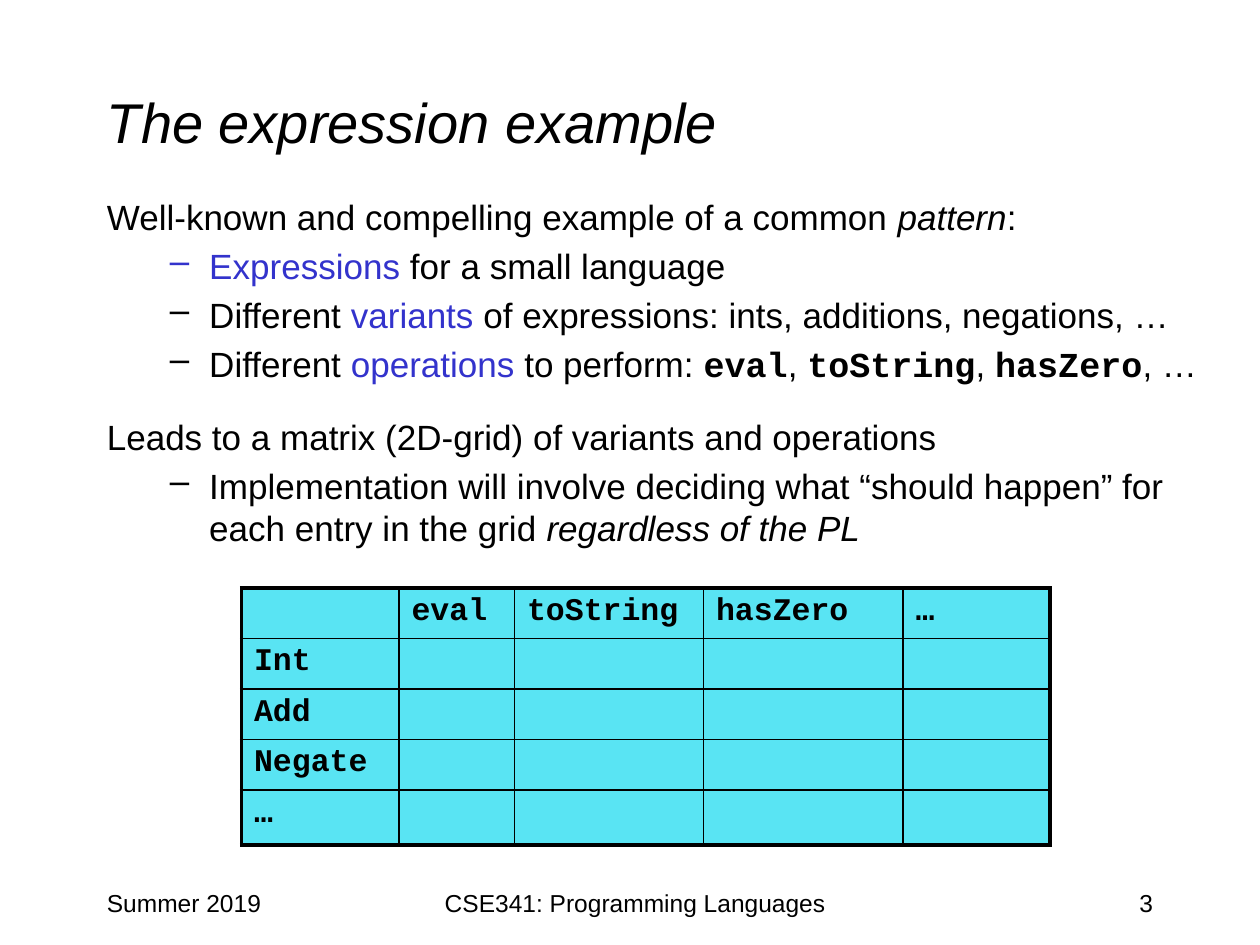
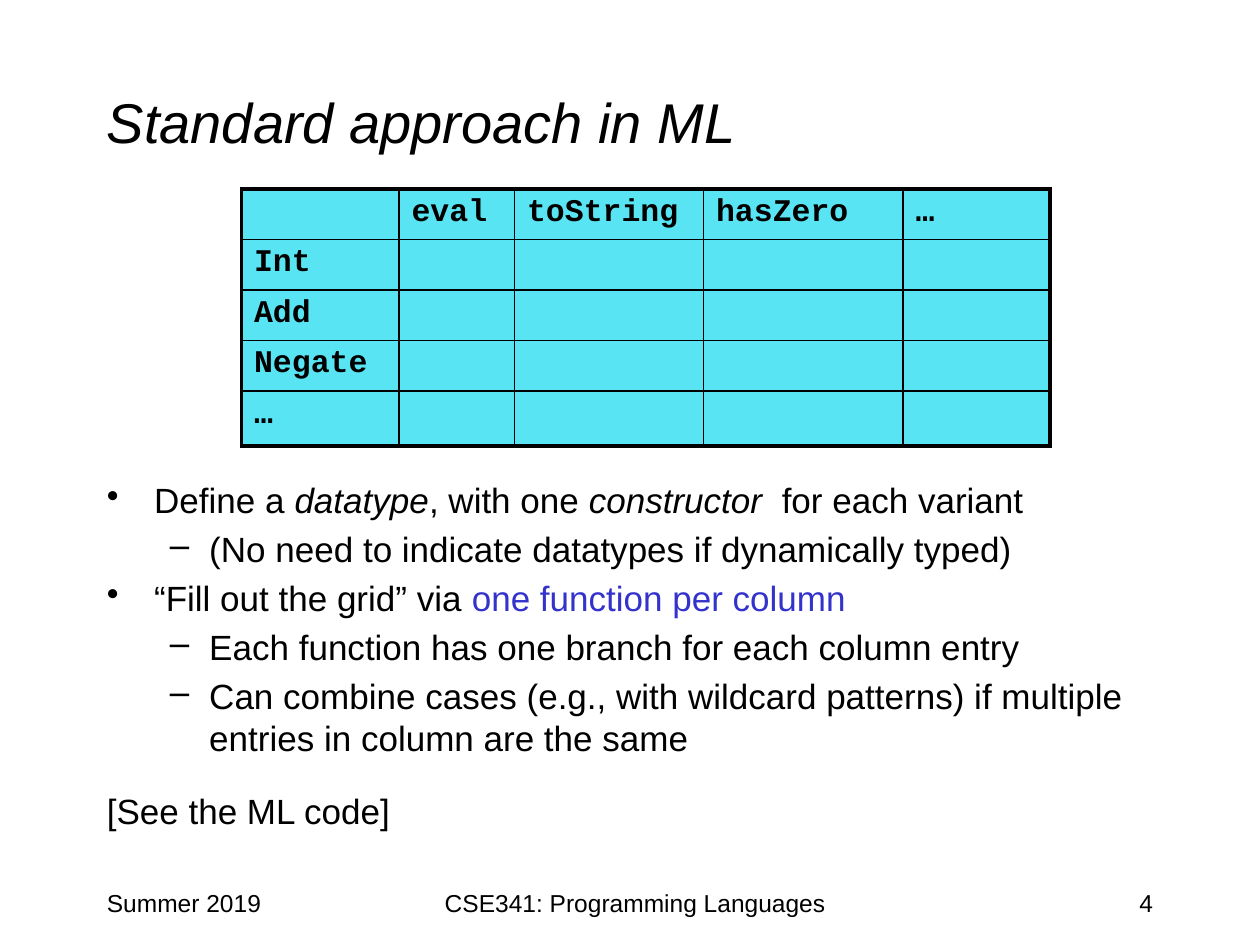
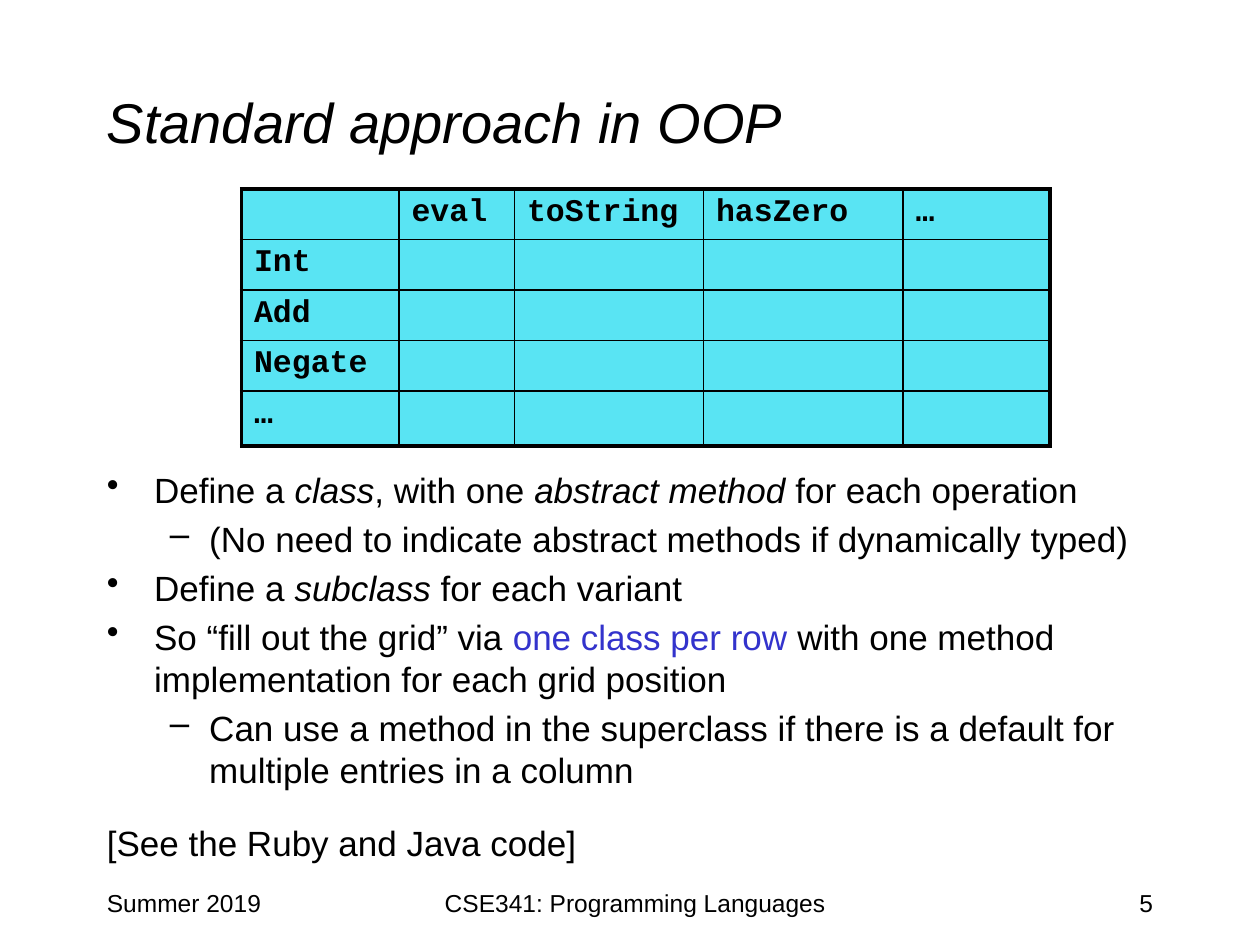
from lxml.etree import SubElement
from pptx import Presentation
from pptx.dml.color import RGBColor
from pptx.enum.text import MSO_ANCHOR, PP_ALIGN
from pptx.oxml.ns import qn
from pptx.util import Pt

BLACK = RGBColor(0x00, 0x00, 0x00)
BLUE = RGBColor(0x33, 0x33, 0xCC)
CYAN = RGBColor(0x59, 0xE4, 0xF3)
SANS = "Arial"
MONO = "Courier New"

PLAIN, ITALIC, ACCENT, CODE = "plain", "italic", "accent", "code"
LEAD, BULLET, DASH = "lead", "bullet", "dash"
LEVELS = {LEAD: (0, 0, None), BULLET: (27, -27, "•"), DASH: (58.5, -22.5, "–")}
LINE_GAP = 4
SECTION_GAP = 17.7

OPERATIONS = ["eval", "toString", "hasZero", "…"]
VARIANTS = ["Int", "Add", "Negate", "…"]
COLUMN_WIDTHS = [90, 66, 108, 114, 84]
ROW_HEIGHTS = [27.6, 27.6, 27.6, 27.6, 31.6]
INNER_BORDER, OUTER_BORDER = 1, 2.25


class LectureDeck:
    def __init__(self):
        self.deck = Presentation()
        self.deck.slide_width = Pt(720)
        self.deck.slide_height = Pt(540)
        self.page = None

    def add_page(self, title, number):
        self.page = self.deck.slides.add_slide(self.deck.slide_layouts[6])
        self.add_label(title, 54, 24, 612, 90, 32, italic=True, anchor=MSO_ANCHOR.MIDDLE)
        self.add_label("Summer 2019", 54, 504, 150, 36)
        self.add_label("CSE341: Programming Languages", 228, 504, 270, 36, align=PP_ALIGN.CENTER)
        self.add_label(str(number), 516, 504, 150, 36, align=PP_ALIGN.RIGHT)

    def add_box(self, left, top, width, height):
        box = self.page.shapes.add_textbox(Pt(left), Pt(top), Pt(width), Pt(height))
        box.text_frame.word_wrap = True
        return box.text_frame

    def style_font(self, font, size, name=SANS, color=BLACK, bold=False, italic=False):
        font.size = Pt(size)
        font.name = name
        font.color.rgb = color
        font.bold = bold
        font.italic = italic

    def add_label(self, text, left, top, width, height, size=14, italic=False,
                  align=PP_ALIGN.LEFT, anchor=MSO_ANCHOR.TOP):
        frame = self.add_box(left, top, width, height)
        frame.vertical_anchor = anchor
        frame.text = text
        para = frame.paragraphs[0]
        para.alignment = align
        self.style_font(para.runs[0].font, size, italic=italic)

    def add_body(self, top, width, height, lines):
        frame = self.add_box(54, top, width, height)
        for index, (level, *spans) in enumerate(lines):
            para = frame.add_paragraph() if index else frame.paragraphs[0]
            if index:
                para.space_before = Pt(SECTION_GAP if level == LEAD else LINE_GAP)
            self.set_level(para, level)
            for part in spans:
                self.add_span(para, part)

    def set_level(self, para, level):
        margin, indent, mark = LEVELS[level]
        properties = para._p.get_or_add_pPr()
        properties.set("marL", str(Pt(margin)))
        properties.set("indent", str(Pt(indent)))
        if mark:
            SubElement(properties, qn("a:buChar"), char=mark)
        else:
            SubElement(properties, qn("a:buNone"))

    def add_span(self, para, part):
        text, style = (part, PLAIN) if isinstance(part, str) else part
        span = para.add_run()
        span.text = text
        self.style_font(span.font, 20, MONO if style == CODE else SANS,
                        BLUE if style == ACCENT else BLACK,
                        bold=style == CODE, italic=style == ITALIC)

    def add_grid(self, top):
        rows = [["", *OPERATIONS]] + [[name] + [""] * len(OPERATIONS) for name in VARIANTS]
        frame = self.page.shapes.add_table(len(rows), len(rows[0]), Pt(138), Pt(top),
                                           Pt(sum(COLUMN_WIDTHS)), Pt(sum(ROW_HEIGHTS)))
        table = frame.table
        for column, width in zip(table.columns, COLUMN_WIDTHS):
            column.width = Pt(width)
        for row, height in zip(table.rows, ROW_HEIGHTS):
            row.height = Pt(height)
        last_row, last_column = len(rows) - 1, len(rows[0]) - 1
        for y, row in enumerate(rows):
            for x, text in enumerate(row):
                cell = table.cell(y, x)
                cell.text = text
                para = cell.text_frame.paragraphs[0]
                self.style_font(para.font, 18, MONO, bold=True)
                for span in para.runs:
                    self.style_font(span.font, 18, MONO, bold=True)
                self.add_borders(cell, {"a:lnL": x == 0, "a:lnR": x == last_column,
                                        "a:lnT": y == 0, "a:lnB": y == last_row})
                cell.fill.solid()
                cell.fill.fore_color.rgb = CYAN

    def add_borders(self, cell, sides):
        properties = cell._tc.get_or_add_tcPr()
        for tag, outer in sides.items():
            width = Pt(OUTER_BORDER if outer else INNER_BORDER)
            line = SubElement(properties, qn(tag), w=str(width))
            fill = SubElement(line, qn("a:solidFill"))
            SubElement(fill, qn("a:srgbClr"), val=str(BLACK))


def main():
    lecture = LectureDeck()

    lecture.add_page("The expression example", 3)
    lecture.add_body(108, 648, 222, [
        (LEAD, "Well-known and compelling example of a common ", ("pattern", ITALIC), ":"),
        (DASH, ("Expressions", ACCENT), " for a small language"),
        (DASH, "Different ", ("variants", ACCENT),
         " of expressions: ints, additions, negations, …"),
        (DASH, "Different ", ("operations", ACCENT), " to perform: ", ("eval", CODE), ", ",
         ("toString", CODE), ", ", ("hasZero", CODE), ", …"),
        (LEAD, "Leads to a matrix (2D-grid) of variants and operations"),
        (DASH, "Implementation will involve deciding what “should happen” for "
         "each entry in the grid ", ("regardless of the PL", ITALIC)),
    ])
    lecture.add_grid(336)

    lecture.add_page("Standard approach in ML", 4)
    lecture.add_body(270, 612, 210, [
        (BULLET, "Define a ", ("datatype", ITALIC), ", with one ", ("constructor", ITALIC),
         "  for each variant"),
        (DASH, "(No need to indicate datatypes if dynamically typed)"),
        (BULLET, "“Fill out the grid” via ", ("one function per column", ACCENT)),
        (DASH, "Each function has one branch for each column entry"),
        (DASH, "Can combine cases (e.g., with wildcard patterns) if multiple "
         "entries in column are the same"),
        (LEAD, "[See the ML code]"),
    ])
    lecture.add_grid(108)

    lecture.add_page("Standard approach in OOP", 5)
    lecture.add_body(264, 612, 210, [
        (BULLET, "Define a ", ("class", ITALIC), ", with one ", ("abstract method", ITALIC),
         " for each operation"),
        (DASH, "(No need to indicate abstract methods if dynamically typed)"),
        (BULLET, "Define a ", ("subclass", ITALIC), " for each variant"),
        (BULLET, "So “fill out the grid” via ", ("one class per row", ACCENT),
         " with one method implementation for each grid position"),
        (DASH, "Can use a method in the superclass if there is a default for "
         "multiple entries in a column"),
        (LEAD, "[See the Ruby and Java code]"),
    ])
    lecture.add_grid(108)

    lecture.deck.save("out.pptx")


if __name__ == "__main__":
    main()
